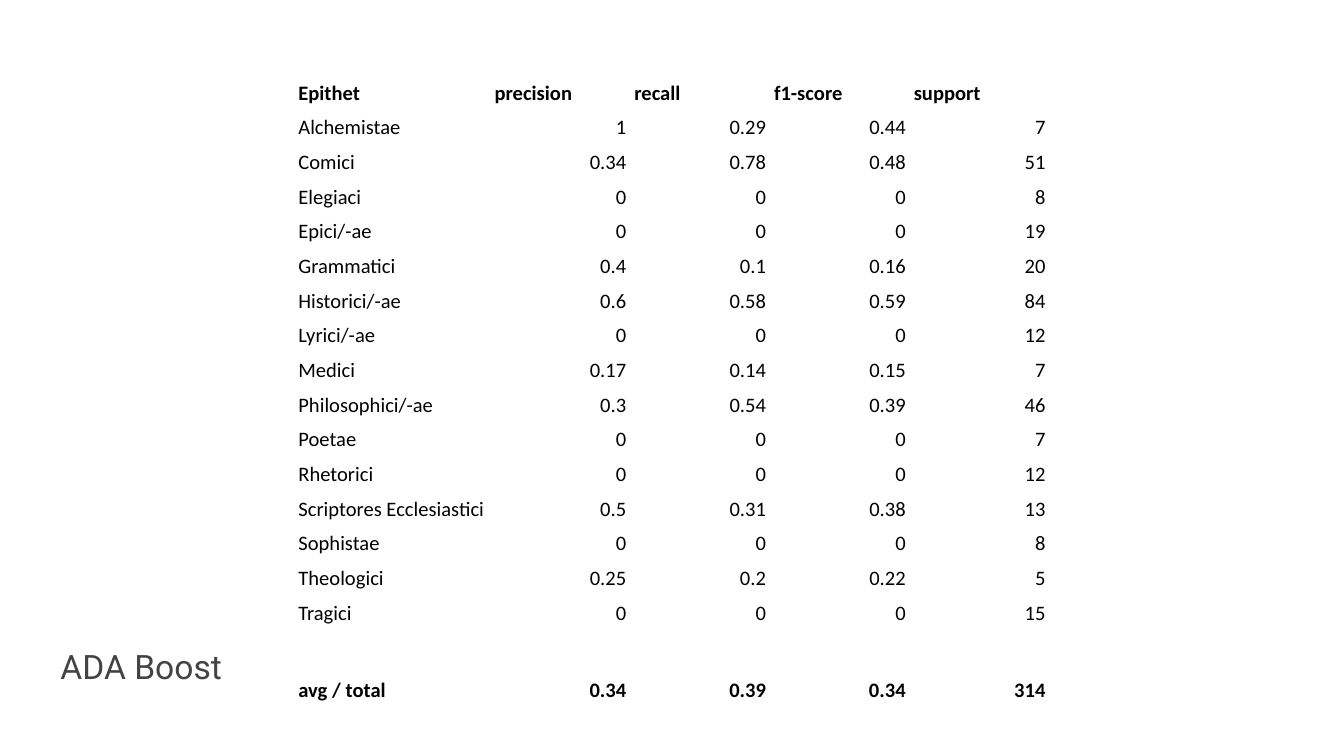
from typing import NamedTuple

from pptx import Presentation
from pptx.dml.color import RGBColor
from pptx.enum.text import MSO_ANCHOR as Anchor, PP_ALIGN as Align
from pptx.util import Inches, Pt

BLACK = RGBColor(0x00, 0x00, 0x00)
GRAY = RGBColor(0x43, 0x43, 0x43)

SLIDE_WIDTH = Inches(10)
SLIDE_HEIGHT = SLIDE_WIDTH * 9 // 16
COL_WIDTHS = [Inches(1.46)] + [Inches(1.04)] * 4
ROW_HEIGHT = Inches(3.87) // 15
GAP_HEIGHT = Inches(0.32)


class Score(NamedTuple):
    epithet: str
    precision: str
    recall: str
    f1: str
    support: str


HEADER = Score("Epithet", "precision", "recall", "f1-score", "support")
SCORES = [
    Score("Alchemistae", "1", "0.29", "0.44", "7"),
    Score("Comici", "0.34", "0.78", "0.48", "51"),
    Score("Elegiaci", "0", "0", "0", "8"),
    Score("Epici/-ae", "0", "0", "0", "19"),
    Score("Grammatici", "0.4", "0.1", "0.16", "20"),
    Score("Historici/-ae", "0.6", "0.58", "0.59", "84"),
    Score("Lyrici/-ae", "0", "0", "0", "12"),
    Score("Medici", "0.17", "0.14", "0.15", "7"),
    Score("Philosophici/-ae", "0.3", "0.54", "0.39", "46"),
    Score("Poetae", "0", "0", "0", "7"),
    Score("Rhetorici", "0", "0", "0", "12"),
    Score("Scriptores Ecclesiastici", "0.5", "0.31", "0.38", "13"),
    Score("Sophistae", "0", "0", "0", "8"),
    Score("Theologici", "0.25", "0.2", "0.22", "5"),
    Score("Tragici", "0", "0", "0", "15"),
]
GAP = Score("", "", "", "", "")
TOTAL = Score("avg / total", "0.34", "0.39", "0.34", "314")


def write(tf, text: str, *, font: str, size: float, color: RGBColor,
          bold: bool = False, align=Align.LEFT, spacing: float = 1.0) -> None:
    p = tf.paragraphs[0]
    p.alignment = align
    p.line_spacing = spacing
    p.space_before = Pt(0)
    if not text:
        # An empty paragraph takes its height from its end mark.
        p._p.get_or_add_endParaRPr().set("sz", str(int(size * 100)))
        return
    r = p.add_run()
    r.text = text
    r.font.name = font
    r.font.size = Pt(size)
    r.font.bold = bold
    r.font.color.rgb = color


def add_caption(slide, text: str) -> None:
    sp = slide.placeholders[1]
    sp.left, sp.top = Inches(0.35), Inches(4.63)
    sp.width, sp.height = Inches(6.56), Inches(0.65)
    tf = sp.text_frame
    tf.word_wrap = True
    tf.vertical_anchor = Anchor.MIDDLE
    tf.margin_left = tf.margin_right = Inches(0.1)
    tf.margin_top = tf.margin_bottom = Inches(0.1)
    write(tf, text, font="Roboto", size=18, color=GRAY)


def add_score_table(slide, rows: list[Score]) -> None:
    heights = [GAP_HEIGHT if row == GAP else ROW_HEIGHT for row in rows]
    table = slide.shapes.add_table(
        len(rows), len(COL_WIDTHS), Inches(2.19), Inches(0.55),
        sum(COL_WIDTHS), sum(heights)).table
    table.first_row = table.horz_banding = False
    for column, width in zip(table.columns, COL_WIDTHS):
        column.width = width
    for i, (row, height) in enumerate(zip(rows, heights)):
        table.rows[i].height = height
        for j, text in enumerate(row):
            cell = table.cell(i, j)
            cell.fill.background()
            cell.vertical_anchor = Anchor.BOTTOM
            cell.margin_left = cell.margin_right = Inches(0.03)
            cell.margin_top = cell.margin_bottom = Inches(0.02)
            is_number = j > 0 and row != HEADER
            write(cell.text_frame, text, font="Calibri", size=11, color=BLACK,
                  bold=row in (HEADER, TOTAL), spacing=1.15,
                  align=Align.RIGHT if is_number else Align.LEFT)


def main() -> None:
    prs = Presentation()
    prs.slide_width, prs.slide_height = SLIDE_WIDTH, SLIDE_HEIGHT
    section_header = prs.slide_layouts[2]
    slide = prs.slides.add_slide(section_header)
    title = slide.shapes.title.element
    title.getparent().remove(title)
    add_caption(slide, "ADA Boost")
    add_score_table(slide, [HEADER, *SCORES, GAP, TOTAL])
    prs.save("out.pptx")


if __name__ == "__main__":
    main()
